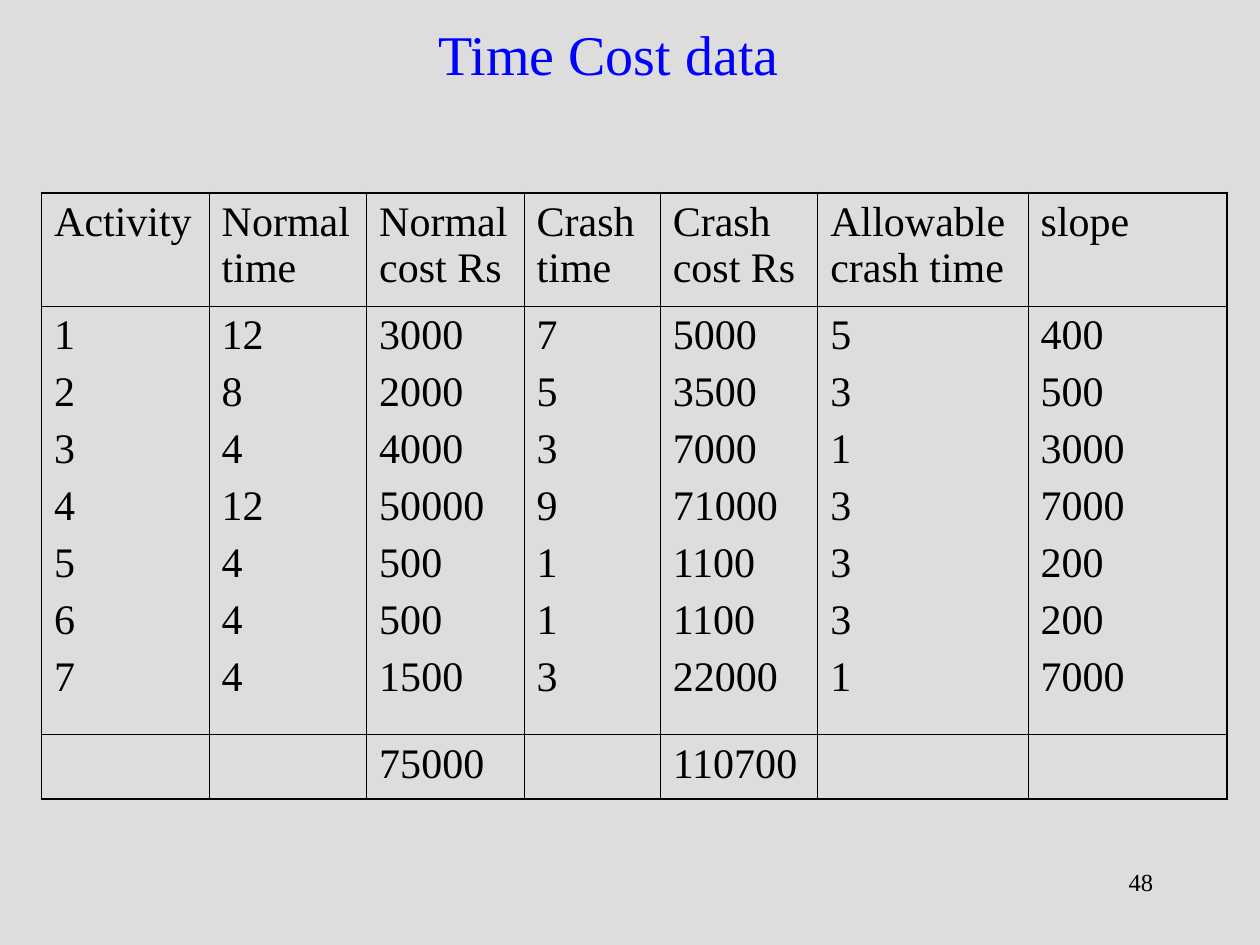
"""Build the time and cost data slide."""
import pptx
import pptx.dml.color
import pptx.enum.text
import pptx.oxml
import pptx.oxml.ns
import pptx.util

Inches = pptx.util.Inches
Pt = pptx.util.Pt
ALIGN = pptx.enum.text.PP_ALIGN
ANCHOR = pptx.enum.text.MSO_ANCHOR

COLORS = {"background": "DDDDDD", "title": "0000FF", "text": "000000", "border": "000000"}
HEADERS = ["Activity", "Normal time", "Normal cost Rs", "Crash time",
           "Crash cost Rs", "Allowable crash time", "slope"]
ACTIVITIES = [
    (1, 12, 3000, 7, 5000, 5, 400),
    (2, 8, 2000, 5, 3500, 3, 500),
    (3, 4, 4000, 3, 7000, 1, 3000),
    (4, 12, 50000, 9, 71000, 3, 7000),
    (5, 4, 500, 1, 1100, 3, 200),
    (6, 4, 500, 1, 1100, 3, 200),
    (7, 4, 1500, 3, 22000, 1, 7000),
]
TOTALS = ["", "", "75000", "", "110700", "", ""]
COL_WIDTHS = [1.33, 1.25, 1.25, 1.08, 1.25, 1.67, 1.58]
ROW_HEIGHTS = [0.9, 3.4, 0.51]


class SlideBuilder:
    """Hold the style and the current slide."""

    font = "Times New Roman"
    outer, inner = 1.08, 0.45

    def __init__(self, prs):
        self.s = prs.slides.add_slide(prs.slide_layouts[5])
        fill = self.s.background.fill
        fill.solid()
        fill.fore_color.rgb = self.color("background")

    def color(self, name):
        return pptx.dml.color.RGBColor.from_string(COLORS[name])

    def format_text(self, tf, size, color="text", align=ALIGN.LEFT, before=0):
        for p in tf.paragraphs:
            p.alignment = align
            p.space_before = Pt(before)
            for r in p.runs:
                r.font.name = self.font
                r.font.size = Pt(size)
                r.font.color.rgb = self.color(color)

    def title(self, text, left, top, width, height):
        sp = self.s.shapes.title
        sp.left, sp.top, sp.width, sp.height = map(Inches, (left, top, width, height))
        tf = sp.text_frame
        tf.text = text
        tf.auto_size = pptx.enum.text.MSO_AUTO_SIZE.NONE
        tf.vertical_anchor = ANCHOR.MIDDLE
        self.format_text(tf, 32, "title", ALIGN.CENTER)

    def page_number(self, text, left, top, width, height):
        sp = self.s.shapes.add_textbox(*map(Inches, (left, top, width, height)))
        tf = sp.text_frame
        tf.word_wrap = True
        tf.text = text
        self.format_text(tf, 14, align=ALIGN.RIGHT)

    def borders(self, cell, at_edge):
        pr = cell._tc.get_or_add_tcPr()
        for i, (side, edge) in enumerate(at_edge.items()):
            width = Pt(self.outer if edge else self.inner)
            pr.insert(i, pptx.oxml.parse_xml(
                f'<a:ln{side} {pptx.oxml.ns.nsdecls("a")} w="{width}"><a:solidFill>'
                f'<a:srgbClr val="{COLORS["border"]}"/></a:solidFill></a:ln{side}>'))

    def table(self, rows, left, top):
        n_rows, n_cols = len(ROW_HEIGHTS), len(COL_WIDTHS)
        size = sum(COL_WIDTHS), sum(ROW_HEIGHTS)
        table = self.s.shapes.add_table(n_rows, n_cols, *map(Inches, (left, top, *size))).table
        table.first_row = table.horz_banding = False
        for column, width in zip(table.columns, COL_WIDTHS):
            column.width = Inches(width)
        for i, (row, height, texts) in enumerate(zip(table.rows, ROW_HEIGHTS, rows)):
            row.height = Inches(height)
            for j, (cell, text) in enumerate(zip(row.cells, texts)):
                cell.text_frame.text = text
                cell.fill.background()
                self.format_text(cell.text_frame, 24, before=6)
                self.borders(cell, {"L": j == 0, "R": j == n_cols - 1,
                                    "T": i == 0, "B": i == n_rows - 1})


def main():
    prs = pptx.Presentation()
    prs.slide_width, prs.slide_height = Inches(10), Inches(7.5)
    builder = SlideBuilder(prs)
    builder.page_number("48", 7.17, 6.83, 2.08, 0.5)
    builder.title("Time Cost data", 0.58, 0.17, 8.5, 0.5)
    values = ["\n".join(map(str, column)) for column in zip(*ACTIVITIES)]
    builder.table([HEADERS, values, TOTALS], 0.33, 1.53)
    prs.save("out.pptx")


if __name__ == "__main__":
    main()
